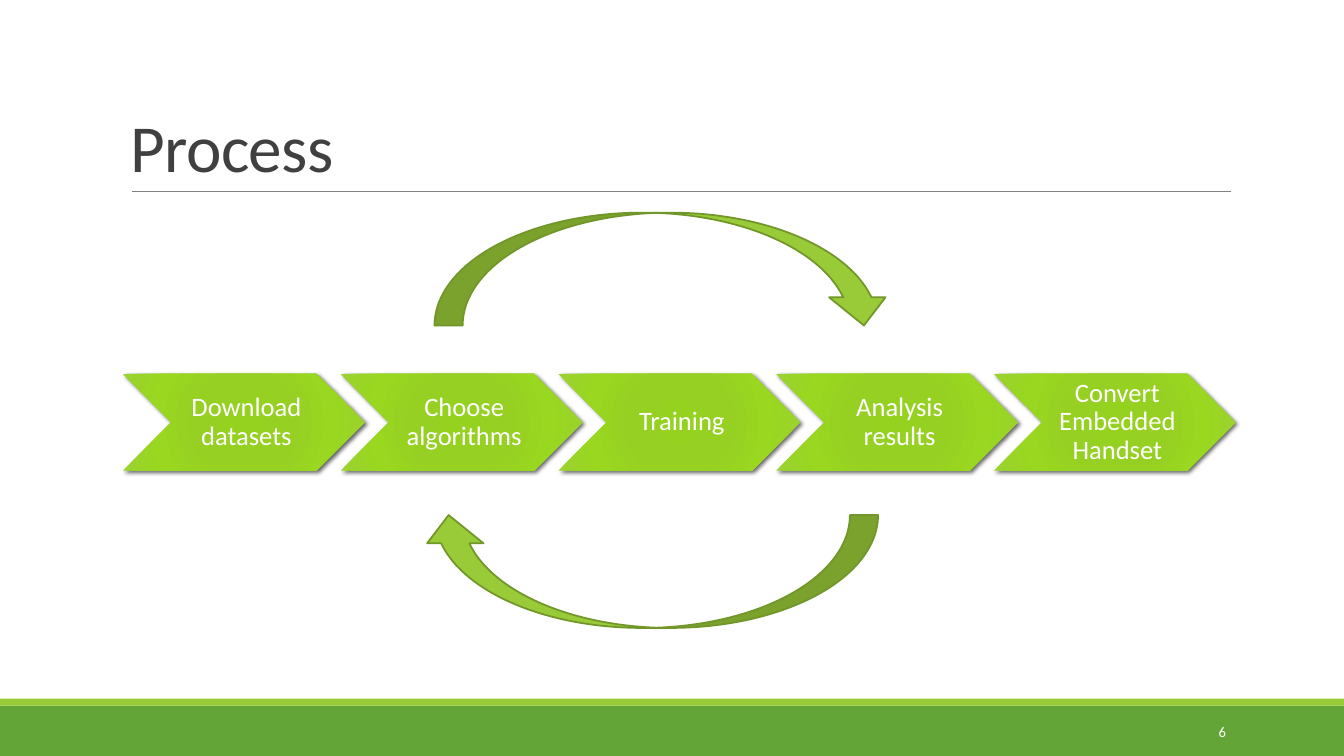
from pptx import Presentation
from pptx.dml.color import RGBColor
from pptx.enum.shapes import MSO_CONNECTOR, MSO_SHAPE
from pptx.enum.text import MSO_ANCHOR, PP_ALIGN
from pptx.oxml import parse_xml
from pptx.oxml.ns import nsdecls
from pptx.util import Inches, Pt

RECTANGLE, CHEVRON = MSO_SHAPE.RECTANGLE, MSO_SHAPE.CHEVRON
CURVED_ARROW = MSO_SHAPE.CURVED_DOWN_ARROW
STRAIGHT = MSO_CONNECTOR.STRAIGHT
LEFT, CENTER, RIGHT = PP_ALIGN.LEFT, PP_ALIGN.CENTER, PP_ALIGN.RIGHT
MIDDLE, BOTTOM = MSO_ANCHOR.MIDDLE, MSO_ANCHOR.BOTTOM


class Theme:
    font = "Calibri"
    title_size, step_size, number_size = 48, 19, 10.5
    title, white = "404040", "FFFFFF"
    band, accent, arrow_edge, rule = "63A537", "99CB38", "719629", "808080"
    step_stops = [(0, "95D220"), (34, "96D023"), (70, "99D720"), (100, "9BD231")]
    shadow = "000000"


class ProcessSlide:
    """Draws on one slide; every box is (left, top, width, height) in percent of it."""

    def __init__(self, deck, theme):
        self.deck, self.theme = deck, theme
        self.slide = deck.slides.add_slide(deck.slide_layouts[6])
        self.shapes = self.slide.shapes

    def x(self, share):
        return round(self.deck.slide_width * share / 100)

    def y(self, share):
        return round(self.deck.slide_height * share / 100)

    def place(self, box):
        left, top, width, height = box
        return self.x(left), self.y(top), self.x(width), self.y(height)

    def shape(self, kind, box, fill, edge=None, rotation=0):
        shape = self.shapes.add_shape(kind, *self.place(box))
        shape.shadow.inherit = False
        shape.rotation = rotation
        shape.fill.solid()
        shape.fill.fore_color.rgb = RGBColor.from_string(fill)
        if edge:
            shape.line.color.rgb = RGBColor.from_string(edge)
            shape.line.width = Pt(1.25)
        else:
            shape.line.fill.background()
        return shape

    def rule(self, left, right, top):
        rule = self.shapes.add_connector(
            STRAIGHT, self.x(left), self.y(top), self.x(right), self.y(top))
        rule.line.color.rgb = RGBColor.from_string(self.theme.rule)
        rule.line.width = Pt(0.5)
        rule._element.spPr.append(parse_xml(f"<a:effectLst {nsdecls('a')}/>"))

    def set_words(self, frame, words, size, color, align, spacing=1.0, **frame_format):
        frame_format = {"word_wrap": True, "vertical_anchor": MIDDLE, **frame_format}
        for attribute, value in frame_format.items():
            setattr(frame, attribute, value)
        paragraph = frame.paragraphs[0]
        paragraph.alignment, paragraph.line_spacing = align, spacing
        run = paragraph.add_run()
        run.text = words
        for attribute, value in {"name": self.theme.font, "size": Pt(size)}.items():
            setattr(run.font, attribute, value)
        run.font.color.rgb = RGBColor.from_string(color)
        return run

    def text(self, box, *content, **formats):
        frame = self.shapes.add_textbox(*self.place(box)).text_frame
        return self.set_words(frame, *content, **formats)

    def title(self, box, words):
        run = self.text(box, words, self.theme.title_size, self.theme.title, LEFT,
                        spacing=0.85, vertical_anchor=BOTTOM)
        run._r.get_or_add_rPr().set("spc", "-50")

    def step(self, box, words):
        """Adds a chevron with a radial gradient, a soft shadow and its label."""
        chevron = self.shape(CHEVRON, box, self.theme.accent)
        properties = chevron._element.spPr
        stops = "".join(
            f'<a:gs pos="{position * 1000}"><a:srgbClr val="{color}"/></a:gs>'
            for position, color in self.theme.step_stops)
        gradient = parse_xml(
            f'<a:gradFill {nsdecls("a")} rotWithShape="1"><a:gsLst>{stops}</a:gsLst>'
            '<a:path path="circle"><a:fillToRect l="100000" t="100000" '
            'r="100000" b="100000"/></a:path></a:gradFill>')
        properties.replace(properties.eg_fillProperties, gradient)
        properties.effectLst.append(parse_xml(
            f'<a:outerShdw {nsdecls("a")} blurRad="{Pt(3)}" dist="{Pt(2)}" '
            f'dir="2700000" rotWithShape="0"><a:srgbClr val="{self.theme.shadow}">'
            '<a:alpha val="60000"/></a:srgbClr></a:outerShdw>'))
        edge = Inches(0.03)
        self.set_words(chevron.text_frame, words, self.theme.step_size,
                       self.theme.white, CENTER, spacing=0.9,
                       margin_left=Inches(0.08), margin_right=edge,
                       margin_top=edge, margin_bottom=edge)


def main():
    deck = Presentation()
    deck.slide_width, deck.slide_height = Inches(13.33), Inches(7.5)
    theme = Theme()
    page = ProcessSlide(deck, theme)

    page.shape(RECTANGLE, (0, 93.33, 100, 6.67), theme.band)
    page.shape(RECTANGLE, (0, 92.4, 100, 0.93), theme.accent)
    page.rule(9.82, 91.58, 25.33)
    page.title((9, 4.13, 82.5, 21.2), "Process")
    page.text((81.22, 94.13, 10.73, 5.33), "6", theme.number_size, theme.white, RIGHT)

    steps = ["Download datasets", "Choose algorithms", "Training",
             "Analysis results", "Convert Embedded Handset"]
    step_width = 18
    step_pitch = 0.9 * step_width
    for index, step in enumerate(steps):
        page.step((9.15 + index * step_pitch, 49.47, step_width, 12.8), step)

    for left, top, rotation in [(32.33, 28.13, 0), (31.28, 68.13, 180)]:
        page.shape(CURVED_ARROW, (left, top, 34.05, 14.93), theme.accent,
                   theme.arrow_edge, rotation)

    deck.save("out.pptx")


if __name__ == "__main__":
    main()
